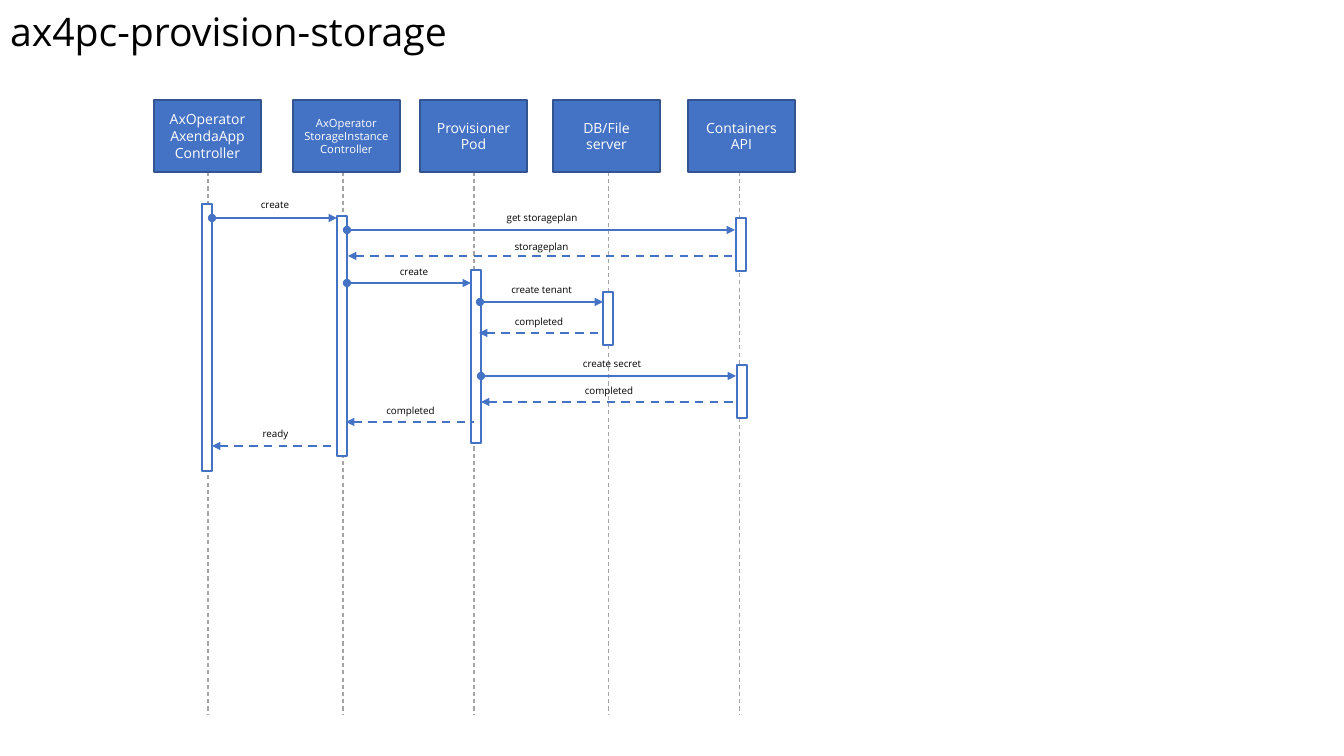
from collections import namedtuple

from lxml.etree import SubElement
from pptx import Presentation
from pptx.dml.color import RGBColor
from pptx.enum.dml import MSO_LINE
from pptx.enum.shapes import MSO_CONNECTOR, MSO_SHAPE
from pptx.enum.text import MSO_ANCHOR, PP_ALIGN
from pptx.oxml.ns import qn
from pptx.util import Emu, Pt

FONT = "Open Sans"
BLUE = RGBColor(0x44, 0x72, 0xC4)
NAVY = RGBColor(0x32, 0x54, 0x91)
GRAY = RGBColor(0xA5, 0xA5, 0xA5)
WHITE = RGBColor(0xFF, 0xFF, 0xFF)
BLACK = RGBColor(0x00, 0x00, 0x00)

HEAD_WIDTH, HEAD_HEIGHT = 107, 72
BAR_WIDTH, LABEL_HEIGHT = 10, 22

Box = namedtuple("Box", "left top width height")
Participant = namedtuple("Participant", "name size head_left lifeline")
Activation = namedtuple("Activation", "left top height")
Message = namedtuple("Message", "text left right line_top label_left label_top label_width reply")

PARTICIPANTS = [
    Participant("AxOperator AxendaApp Controller", 10, 0, 54),
    Participant("AxOperator StorageInstance Controller", 8, 139, 189),
    Participant("Provisioner Pod", 10, 266, 320),
    Participant("DB/File server", 10, 399, 455),
    Participant("Containers API", 10, 534, 586),
]
ACTIVATIONS = [
    Activation(48, 104, 267),
    Activation(183, 116, 240),
    Activation(317, 170, 173),
    Activation(449, 192, 53),
    Activation(582, 118, 53),
    Activation(583, 265, 53),
]
MESSAGES = [
    Message("create", 58, 183, 118, 53, 94, 136, False),
    Message("get storageplan", 193, 581, 130, 189, 107, 398, False),
    Message("storageplan", 194, 581, 156, 189, 136, 397, True),
    Message("create", 193, 317, 183, 191, 161, 138, False),
    Message("create tenant", 326, 449, 202, 321, 179, 133, False),
    Message("completed", 325, 446, 233, 320, 211, 130, True),
    Message("create secret", 327, 582, 276, 329, 253, 258, False),
    Message("completed", 327, 582, 302, 320, 280, 270, True),
    Message("completed", 192, 320, 322, 190, 300, 133, True),
    Message("ready", 58, 181, 346, 53, 323, 137, True),
]


def px(*lengths):
    """Turn pixel lengths into EMU."""
    return [Emu(round(length * 914400 / 100.8)) for length in lengths]


def write(frame, text, size, color, align=PP_ALIGN.CENTER):
    """Fill a text frame with one formatted paragraph."""
    frame.word_wrap = True
    frame.text = text
    para = frame.paragraphs[0]
    para.alignment = align
    para.font.name = FONT
    para.font.size = Pt(size)
    para.font.color.rgb = color
    return para


def add_rectangle(page, box, fill, outline):
    """Draw a flat outlined rectangle."""
    shape = page.shapes.add_shape(MSO_SHAPE.RECTANGLE, *px(*box))
    shape.shadow.inherit = False
    shape.fill.solid()
    shape.fill.fore_color.rgb = fill
    shape.line.color.rgb = outline
    shape.line.width = Pt(1)
    return shape


def add_line(page, start, end, color, width, dashed, **arrowheads):
    """Draw a straight connector with optional headEnd and tailEnd."""
    line = page.shapes.add_connector(MSO_CONNECTOR.STRAIGHT, *px(*start, *end))
    line.line.color.rgb = color
    line.line.width = Pt(width)
    if dashed:
        line.line.dash_style = MSO_LINE.DASH
    outline = line.line._get_or_add_ln()
    for tag, kind in arrowheads.items():
        SubElement(outline, qn(f"a:{tag}"), type=kind)
    SubElement(line._element.spPr, qn("a:effectLst"))


def add_title(page, box, text):
    """Place the slide title."""
    title = page.shapes.title
    title.left, title.top, title.width, title.height = px(*box)
    para = write(title.text_frame, text, 28, BLACK, PP_ALIGN.LEFT)
    para.line_spacing = 0.9
    title.text_frame.vertical_anchor = MSO_ANCHOR.MIDDLE


def add_participants(page, box):
    """Draw the lifelines and the named heads above them."""
    for participant in PARTICIPANTS:
        x = box.left + participant.lifeline
        add_line(page, (x, box.top + HEAD_HEIGHT), (x, box.top + box.height), GRAY, 0.75, True)
        head_box = Box(box.left + participant.head_left, box.top, HEAD_WIDTH, HEAD_HEIGHT)
        head = add_rectangle(page, head_box, BLUE, NAVY)
        write(head.text_frame, participant.name, participant.size, WHITE)
        head.text_frame.vertical_anchor = MSO_ANCHOR.MIDDLE


def add_activations(page, box):
    """Draw the bars that show when each participant is active."""
    for bar in ACTIVATIONS:
        bar_box = Box(box.left + bar.left, box.top + bar.top, BAR_WIDTH, bar.height)
        add_rectangle(page, bar_box, WHITE, BLUE)


def add_messages(page, box):
    """Draw the calls and dashed replies with their labels."""
    for message in MESSAGES:
        y = box.top + message.line_top
        ends = {"headEnd": "triangle"} if message.reply else {"headEnd": "oval", "tailEnd": "triangle"}
        add_line(page, (box.left + message.left, y), (box.left + message.right, y),
                 BLUE, 1.5, message.reply, **ends)
        label_box = Box(box.left + message.label_left, box.top + message.label_top,
                        message.label_width, LABEL_HEIGHT)
        label = page.shapes.add_textbox(*px(*label_box))
        write(label.text_frame, message.text, 7, BLACK)


def add_sequence(page, box):
    """Build the whole sequence diagram in its box."""
    add_participants(page, box)
    add_activations(page, box)
    add_messages(page, box)


def main():
    """Build and save the deck."""
    deck = Presentation()
    deck.slide_width, deck.slide_height = px(1344, 756)
    page = deck.slides.add_slide(deck.slide_layouts[5])
    add_title(page, Box(0, 0, 610, 67), "ax4pc-provision-storage")
    add_sequence(page, Box(154, 100, 641, 615))
    deck.save("out.pptx")


main()
